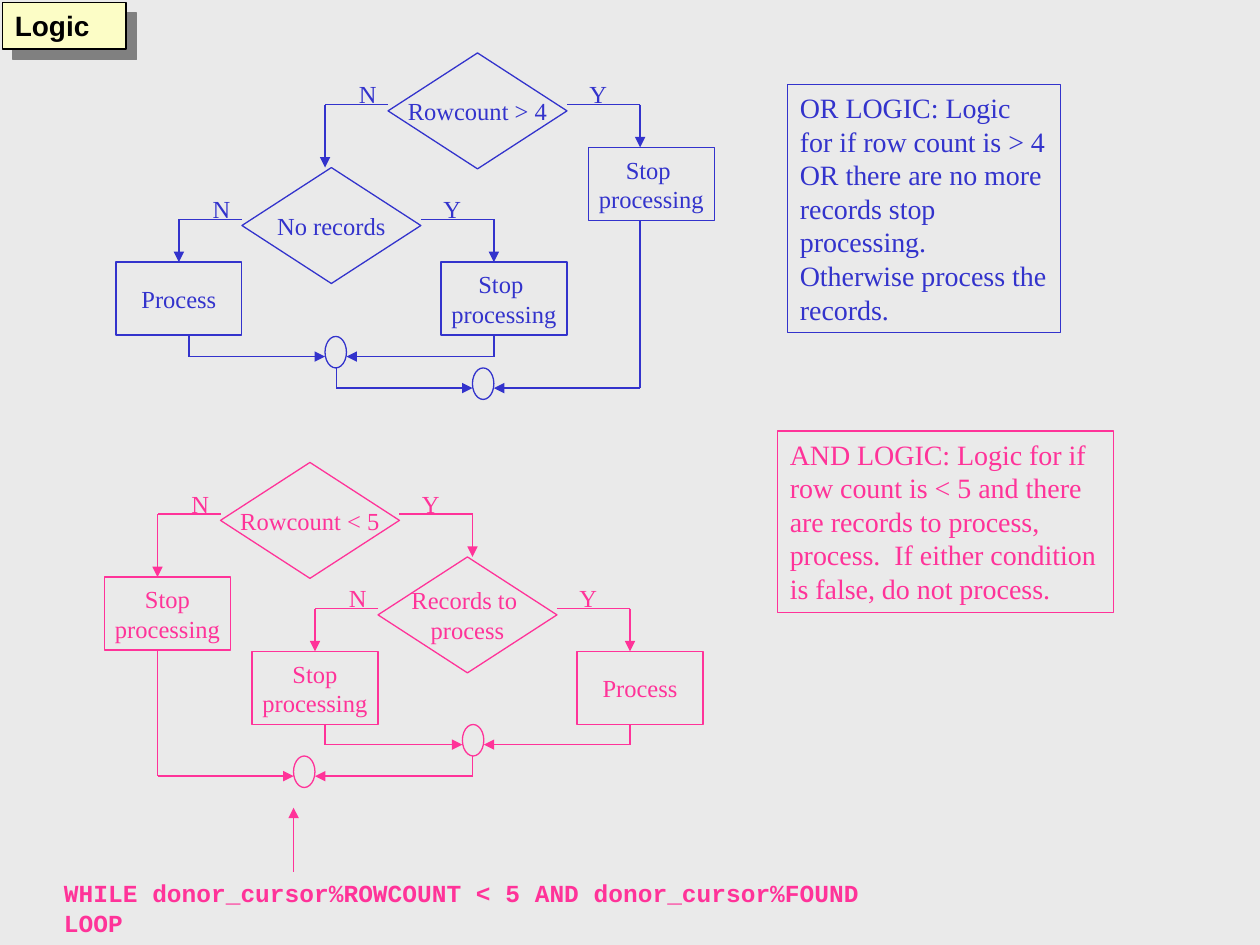
import pptx
import pptx.util
import pptx.dml.color
import pptx.enum.shapes
import pptx.enum.text
import pptx.oxml
import pptx.oxml.ns

Inches = pptx.util.Inches
KIND = pptx.enum.shapes.MSO_SHAPE
ALIGN = pptx.enum.text.PP_ALIGN
FIT = pptx.enum.text.MSO_AUTO_SIZE
ANCHOR = pptx.enum.text.MSO_ANCHOR
INK = {"back": "EAEAEA", "blue": "3333CC", "pink": "FF3399",
       "cream": "FCFDC6", "black": "000000", "grey": "808080"}
SERIF = "Times New Roman"
ASK_W, ASK_H, ARM_Y = 1.42, 0.92, 0.41
STEP_W, STEP_H = 1, 0.58
DOT_W, DOT_H, DOT_ARM = 0.17, 0.25, 0.16
STOP = ["Stop ", "processing"]
HALT = ["Stop", "processing"]


def rgb(ink):
    return pptx.dml.color.RGBColor.from_string(INK[ink])


def write(shape, lines, ink, size=14, font=SERIF, bold=False, wrap=False,
          grow=False, mid=False):
    frame = shape.text_frame
    frame.word_wrap = wrap
    frame.auto_size = FIT.SHAPE_TO_FIT_TEXT if grow else FIT.NONE
    frame.vertical_anchor = ANCHOR.MIDDLE if mid else ANCHOR.TOP
    for i, line in enumerate(lines):
        para = frame.add_paragraph() if i else frame.paragraphs[0]
        para.alignment = ALIGN.CENTER if mid else ALIGN.LEFT
        run = para.add_run()
        run.text = line
        run.font.size = pptx.util.Pt(size)
        run.font.name = font
        run.font.bold = bold
        run.font.color.rgb = rgb(ink)


def label(slide, box, text, ink, **style):
    shape = slide.shapes.add_textbox(*map(Inches, box))
    write(shape, [text], ink, grow=True, **style)


def block(slide, kind, box, ink, fill=None):
    shape = slide.shapes.add_shape(kind, *map(Inches, box))
    shape.shadow.inherit = False
    if fill:
        shape.fill.solid()
        shape.fill.fore_color.rgb = rgb(fill)
    else:
        shape.fill.background()
    shape.line.color.rgb = rgb(ink)
    shape.line.width = pptx.util.Pt(0.75)
    return shape


def wire(slide, ink, *points, arrow=True):
    last = len(points) - 1
    for i in range(last):
        ends = map(Inches, points[i] + points[i + 1])
        line = slide.shapes.add_connector(
            pptx.enum.shapes.MSO_CONNECTOR.STRAIGHT, *ends)
        line.line.color.rgb = rgb(ink)
        line.line.width = pptx.util.Pt(0.75)
        if arrow and i == last - 1:
            tip = pptx.oxml.ns.qn("a:tailEnd")
            line.line._get_or_add_ln().append(
                line._element.makeelement(tip, {"type": "triangle"}))
        none = pptx.oxml.ns.qn("a:effectLst")
        line._element.spPr.append(line._element.makeelement(none, {}))


def ask(slide, x, y, lines, drop, ink):
    shape = block(slide, KIND.FLOWCHART_DECISION, (x, y, ASK_W, ASK_H), ink)
    write(shape, lines, ink, mid=True)
    arm = y + ARM_Y
    wire(slide, ink, (x + ASK_W, arm), (x + 2, arm), (x + 2, y + 0.75))
    wire(slide, ink, (x, arm), (x - 0.5, arm), (x - 0.5, y + drop))
    label(slide, (x + 1.5, y + 0.16, 0.25, 0.34), "Y", ink, wrap=True)
    label(slide, (x - 0.33, y + 0.16, 0.34, 0.34), "N", ink)


def step(slide, x, y, lines, ink):
    shape = block(slide, KIND.RECTANGLE, (x, y, STEP_W, STEP_H), ink)
    write(shape, lines, ink, mid=True)


def join(slide, x, y, left, right, ink):
    arm = y + DOT_ARM
    wire(slide, ink, left, (left[0], arm), (x, arm))
    wire(slide, ink, right, (right[0], arm), (x + DOT_W, arm))
    block(slide, KIND.OVAL, (x, y, DOT_W, DOT_H), ink)


def flow(slide, x, y, ink, asks, steps, joins):
    for dx, dy, lines, drop in asks:
        ask(slide, x + dx, y + dy, lines, drop, ink)
    for dx, dy, lines in steps:
        step(slide, x + dx, y + dy, lines, ink)
    for spots in joins:
        dot, left, right = [(x + dx, y + dy) for dx, dy in spots]
        join(slide, *dot, left, right, ink)


def note(slide, box, text, ink):
    shape = block(slide, KIND.RECTANGLE, box, ink)
    write(shape, [text], ink, size=16, wrap=True, grow=True)


def title(slide, box):
    shape = block(slide, KIND.RECTANGLE, box, "black", "cream")
    write(shape, ["Logic"], "black", 16, "Arial", True, wrap=True, grow=True)
    shade = pptx.oxml.parse_xml(
        f'<a:outerShdw {pptx.oxml.ns.nsdecls("a")} dist="107950" dir="2700000"'
        f' algn="ctr" rotWithShape="0"><a:srgbClr val="{INK["grey"]}"/>'
        '</a:outerShdw>')
    shape._element.spPr.find(pptx.oxml.ns.qn("a:effectLst")).append(shade)


def code(slide, x, y):
    label(slide, (x, y, 7.1, 0.34),
          "WHILE donor_cursor%ROWCOUNT < 5 AND donor_cursor%FOUND LOOP",
          "pink", font="Courier New", bold=True)
    wire(slide, "pink", (x + 1.92, y), (x + 1.92, y - 0.51))


def main():
    deck = pptx.Presentation()
    deck.slide_width, deck.slide_height = Inches(10), Inches(7.5)
    slide = deck.slides.add_slide(deck.slide_layouts[6])
    slide.background.fill.solid()
    slide.background.fill.fore_color.rgb = rgb("back")
    title(slide, (0.02, 0.02, 0.98, 0.37))
    flow(slide, 0.92, 0.42, "blue",
         [(2.16, 0, ["Rowcount > 4"], 0.91), (1, 0.91, ["No records"], 0.75)],
         [(3.75, 0.75, STOP), (2.58, 1.66, STOP), (0, 1.66, ["Process"])],
         [((1.66, 2.25), (0.58, 2.25), (3, 2.25)),
          ((2.83, 2.5), (1.75, 2.5), (4.16, 1.33))])
    flow(slide, 0.83, 3.67, "pink",
         [(0.92, 0, ["Rowcount < 5"], 0.91),
          (2.17, 0.75, ["Records to ", "process"], 0.75)],
         [(0, 0.91, HALT), (1.17, 1.5, HALT), (3.75, 1.5, ["Process"])],
         [((2.84, 2.08), (1.75, 2.08), (4.17, 2.08)),
          ((1.5, 2.33), (0.42, 1.5), (2.92, 2.33))])
    note(slide, (6.25, 0.67, 2.17, 1.97),
         "OR LOGIC: Logic for if row count is > 4 OR there are no more "
         "records stop processing.  Otherwise process the records.", "blue")
    note(slide, (6.17, 3.42, 2.67, 1.44),
         "AND LOGIC: Logic for if row count is < 5 and there are records to "
         "process, process.  If either condition is false, do not process.",
         "pink")
    code(slide, 0.41, 6.92)
    deck.save("out.pptx")


if __name__ == "__main__":
    main()
